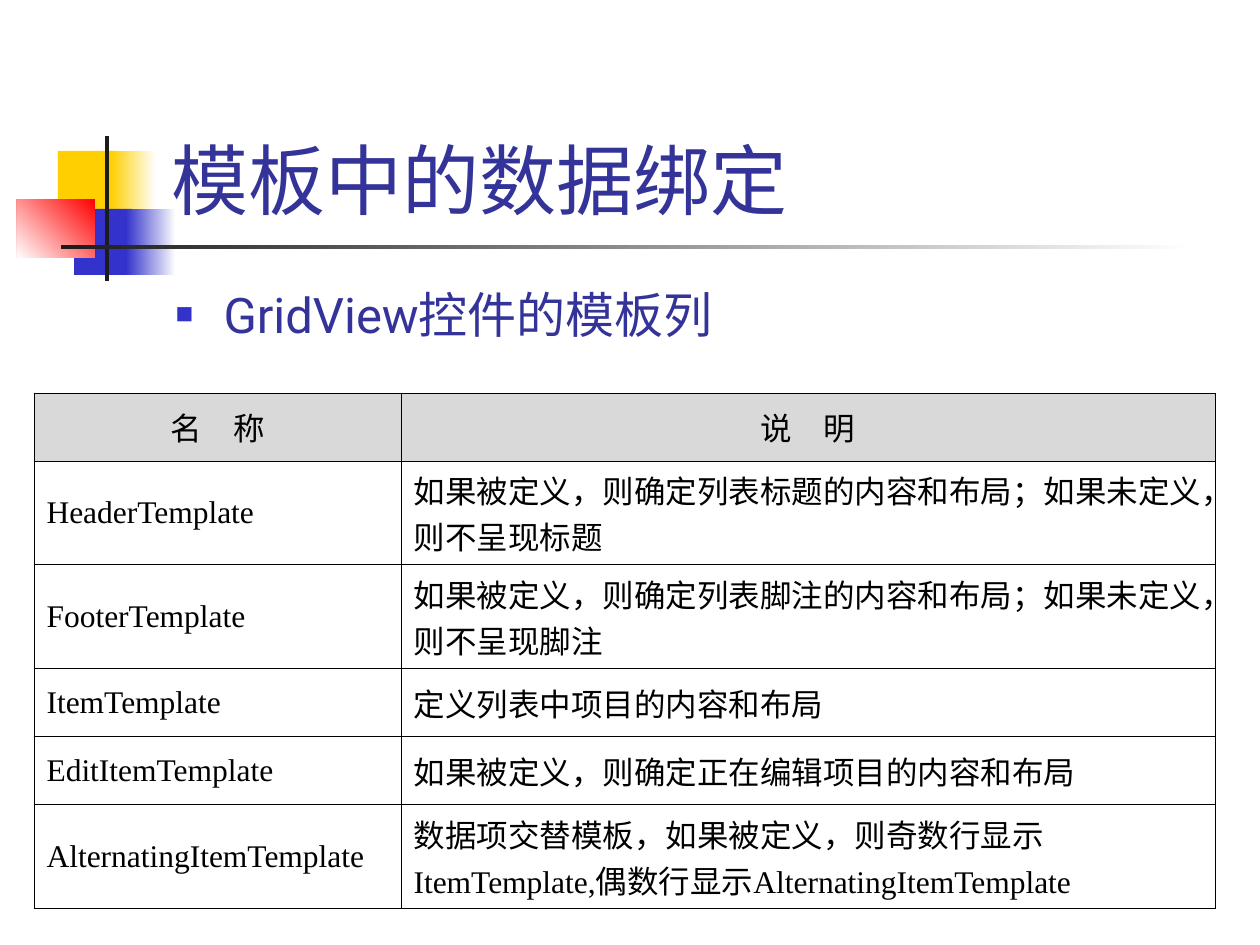
import pptx
import pptx.dml.color
import pptx.enum.dml
import pptx.enum.shapes
import pptx.enum.text
import pptx.oxml
import pptx.oxml.ns
import pptx.util
from dataclasses import dataclass

PX = 914400 / 126


@dataclass(frozen=True)
class Theme:
    heading_font: str = "Roboto"
    table_font: str = "Times New Roman"
    title_size: int = 44
    body_size: int = 28
    table_size: int = 18
    border_width: float = 0.45
    heading: str = "333399"
    blue: str = "3333CC"
    yellow: str = "FFCF01"
    red: str = "FF0000"
    dark: str = "1C1C1C"
    white: str = "FFFFFF"
    header_fill: str = "D9D9D9"
    text: str = "000000"


theme = Theme()
ALIGN = pptx.enum.text.PP_ALIGN
ANCHOR = pptx.enum.text.MSO_ANCHOR
rgb = pptx.dml.color.RGBColor.from_string


def px(*lengths):
    """Turn px lengths into a list of EMU lengths."""
    return [pptx.util.Emu(round(length * PX)) for length in lengths]


def write(frame, text, *, font, size, color, align=ALIGN.LEFT, anchor=ANCHOR.TOP):
    """Fill a text frame's first paragraph with one formatted run and return it."""
    frame.word_wrap = True
    frame.vertical_anchor = anchor
    para = frame.paragraphs[0]
    para.alignment = align
    span = para.add_run()
    span.text = text
    span.font.name = font
    span.font.size = pptx.util.Pt(size)
    span.font.color.rgb = rgb(color)
    return para


deck = pptx.Presentation()
deck.slide_width, deck.slide_height = px(1260, 945)
page = deck.slides.add_slide(deck.slide_layouts[1])

# Corner ornament and rule: left, top, width, height, colours, gradient angle
ornament = [
    (58, 151, 60, 66, [theme.yellow], None),
    (111, 151, 45, 66, [theme.white, theme.yellow], 180),
    (74, 209, 58, 66, [theme.blue], None),
    (126, 209, 50, 66, [theme.white, theme.blue], 180),
    (17, 199, 78, 59, [theme.red, theme.white], 225),
    (105, 136, 4, 145, [theme.dark], None),
    (61, 245, 1134, 4, [theme.white, theme.dark], 180),
]
for *place, colors, angle in ornament:
    block = page.shapes.add_shape(pptx.enum.shapes.MSO_SHAPE.RECTANGLE, *px(*place))
    block.shadow.inherit = False
    block.line.fill.background()
    if angle is None:
        block.fill.solid()
        block.fill.fore_color.rgb = rgb(colors[0])
    else:
        block.fill.gradient()
        block.fill.gradient_angle = angle
        for stop, color in zip(block.fill.gradient_stops, colors):
            stop.color.rgb = rgb(color)

# Title and bullet
title = page.shapes.title
title.left, title.top, title.width, title.height = px(159, 29, 1074, 202)
title.text_frame.auto_size = pptx.enum.text.MSO_AUTO_SIZE.NONE
write(title.text_frame, "模板中的数据绑定", font=theme.heading_font,
      size=theme.title_size, color=theme.heading, anchor=ANCHOR.BOTTOM)

body = page.placeholders[1]
body.left, body.top, body.width, body.height = px(163, 278, 1071, 567)
body.text_frame.auto_size = pptx.enum.text.MSO_AUTO_SIZE.NONE
bullet = write(body.text_frame, "GridView控件的模板列", font=theme.heading_font,
               size=theme.body_size, color=theme.heading)
bullet.space_before = pptx.util.Pt(8)
bullet_format = bullet._p.get_or_add_pPr()
indent = px(48)[0]
bullet_format.set("marL", str(indent))
bullet_format.set("indent", str(-indent))
namespace = pptx.oxml.ns.nsdecls("a")
for markup in (
    f'<a:buClr {namespace}><a:srgbClr val="{theme.blue}"/></a:buClr>',
    f'<a:buSzPct {namespace} val="60000"/>',
    f'<a:buChar {namespace} char="■"/>',
):
    bullet_format.append(pptx.oxml.parse_xml(markup))

# Template table
rows = [
    ("名　称", "说　明"),
    ("HeaderTemplate", "如果被定义，则确定列表标题的内容和布局；如果未定义，则不呈现标题"),
    ("FooterTemplate", "如果被定义，则确定列表脚注的内容和布局；如果未定义，则不呈现脚注"),
    ("ItemTemplate", "定义列表中项目的内容和布局"),
    ("EditItemTemplate", "如果被定义，则确定正在编辑项目的内容和布局"),
    ("AlternatingItemTemplate",
     "数据项交替模板，如果被定义，则奇数行显示ItemTemplate,偶数行显示AlternatingItemTemplate"),
]
row_heights = [68, 88, 88, 68, 68, 88]
column_widths = [367, 814]
table = page.shapes.add_table(
    len(rows), len(column_widths),
    *px(34, 393, sum(column_widths), sum(row_heights))).table
table.first_row = False
table.horz_banding = False
for column, width in zip(table.columns, px(*column_widths)):
    column.width = width
for row, height in zip(table.rows, px(*row_heights)):
    row.height = height

border_width = pptx.util.Pt(theme.border_width)
for row_index, texts in enumerate(rows):
    is_header = row_index == 0
    for column_index, text in enumerate(texts):
        cell = table.cell(row_index, column_index)
        write(cell.text_frame, text, font=theme.table_font,
              size=theme.table_size, color=theme.text,
              align=ALIGN.CENTER if is_header else ALIGN.LEFT)
        cell.vertical_anchor = ANCHOR.MIDDLE
        cell_format = cell._tc.get_or_add_tcPr()
        for side in ("lnL", "lnR", "lnT", "lnB"):
            cell_format.append(pptx.oxml.parse_xml(
                f'<a:{side} {namespace} w="{border_width}"><a:solidFill>'
                f'<a:srgbClr val="{theme.text}"/></a:solidFill></a:{side}>'))
        if is_header:
            cell.fill.solid()
            cell.fill.fore_color.rgb = rgb(theme.header_fill)
        else:
            cell.fill.background()

deck.save("out.pptx")
